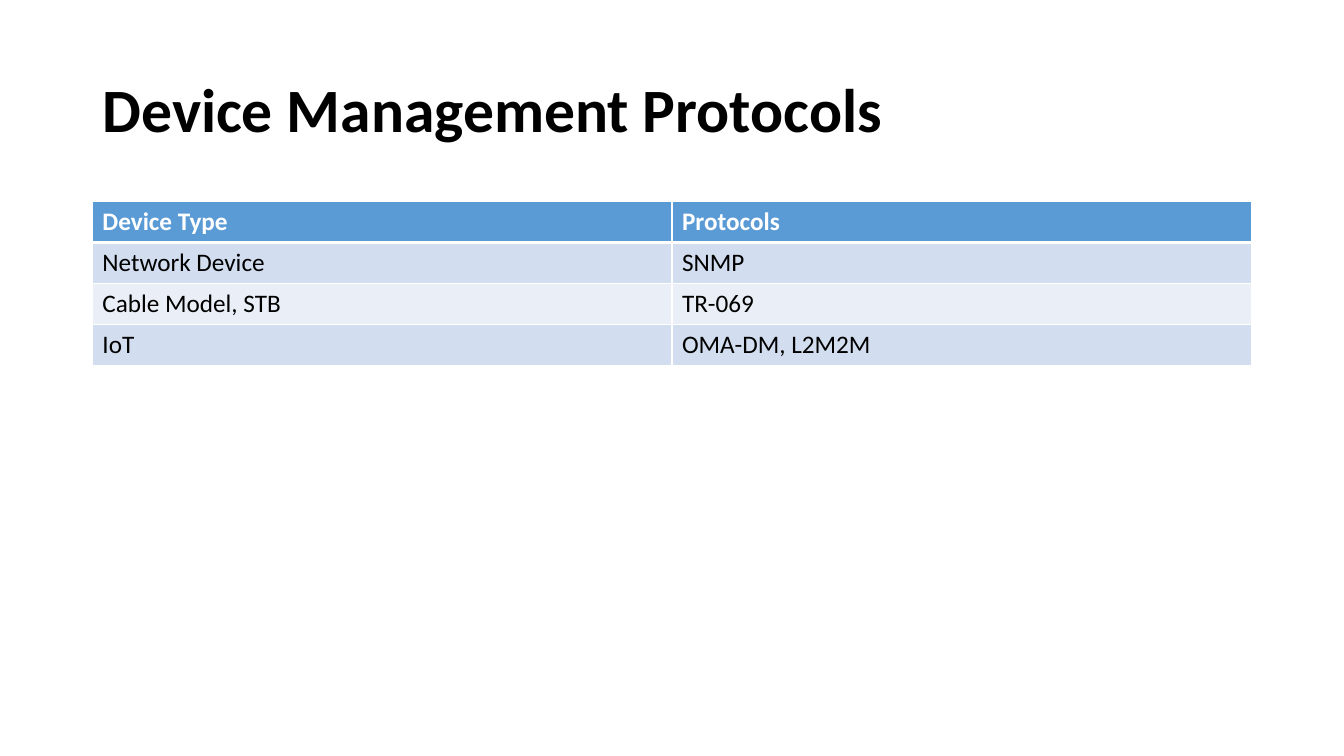
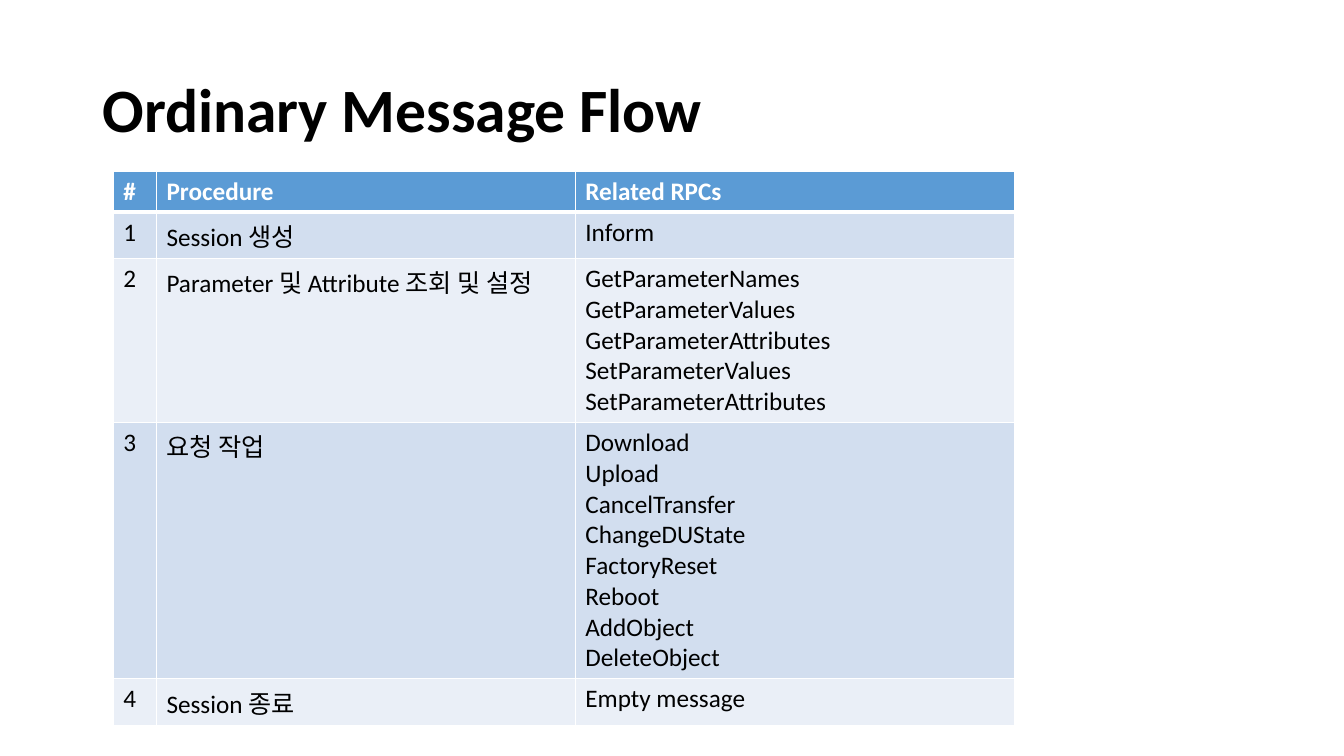
from lxml.etree import SubElement
from pptx import Presentation
from pptx.dml.color import RGBColor
from pptx.enum.text import MSO_ANCHOR as Anchor, MSO_AUTO_SIZE as AutoSize, PP_ALIGN as Align
from pptx.oxml.ns import qn
from pptx.util import Pt

PX = 9525
FONT = "Calibri"
BLACK = RGBColor(0x00, 0x00, 0x00)
WHITE = RGBColor(0xFF, 0xFF, 0xFF)
HEADER_BLUE = RGBColor(0x5B, 0x9B, 0xD5)
BANDS = [RGBColor(0xD2, 0xDE, 0xEF), RGBColor(0xEA, 0xEF, 0xF7)]
TITLE_BOX = (88, 38, 1104, 139)
ROW_HEIGHT = 39

SLIDES = [
    {
        "title": "Device Management Protocols",
        "corner": (88, 192),
        "columns": [552, 552],
        "rows": [
            ["Device Type", "Protocols"],
            ["Network Device", "SNMP"],
            ["Cable Model, STB", "TR-069"],
            ["IoT", "OMA-DM, L2M2M"],
        ],
    },
    {
        "title": "Ordinary Message Flow",
        "corner": (108, 163),
        "columns": [41, 399, 418],
        "rows": [
            ["#", "Procedure", "Related RPCs"],
            ["1", "Session 생성", "Inform"],
            ["2", "Parameter 및 Attribute 조회 및 설정",
             "GetParameterNames\nGetParameterValues\nGetParameterAttributes\n"
             "SetParameterValues\nSetParameterAttributes"],
            ["3", "요청 작업",
             "Download\nUpload\nCancelTransfer\nChangeDUState\n"
             "FactoryReset\nReboot\nAddObject\nDeleteObject"],
            ["4", "Session 종료", "Empty message"],
        ],
    },
]


def add_run(paragraph, text, size, color, bold):
    run = paragraph.add_run()
    run.text = text
    run.font.name = FONT
    run.font.size = Pt(size)
    run.font.bold = bold
    run.font.color.rgb = color


def add_borders(cell, bottom_width):
    properties = cell._tc.get_or_add_tcPr()
    for side, width in (("L", 1), ("R", 1), ("T", 1), ("B", bottom_width)):
        line = SubElement(properties, qn(f"a:ln{side}"), w=str(Pt(width)))
        fill = SubElement(line, qn("a:solidFill"))
        SubElement(fill, qn("a:srgbClr"), val=str(WHITE))


presentation = Presentation()
presentation.slide_width = 1280 * PX
presentation.slide_height = 720 * PX
title_only = presentation.slide_layouts.get_by_name("Title Only")

for content in SLIDES:
    slide = presentation.slides.add_slide(title_only)
    title = slide.shapes.title
    title.left, title.top, title.width, title.height = [length * PX for length in TITLE_BOX]
    title.text_frame.auto_size = AutoSize.NONE
    title.text_frame.vertical_anchor = Anchor.MIDDLE
    paragraph = title.text_frame.paragraphs[0]
    paragraph.alignment = Align.LEFT
    paragraph.line_spacing = 0.9
    add_run(paragraph, content["title"], 44, BLACK, True)

    left, top = content["corner"]
    columns, rows = content["columns"], content["rows"]
    table = slide.shapes.add_table(
        len(rows), len(columns), left * PX, top * PX,
        sum(columns) * PX, len(rows) * ROW_HEIGHT * PX,
    ).table
    for column, width in zip(table.columns, columns):
        column.width = width * PX

    for row_index, row in enumerate(rows):
        is_header = row_index == 0
        for column_index, text in enumerate(row):
            cell = table.cell(row_index, column_index)
            add_borders(cell, 3 if is_header else 1)
            cell.fill.solid()
            cell.fill.fore_color.rgb = HEADER_BLUE if is_header else BANDS[(row_index - 1) % 2]
            for line_index, line in enumerate(text.split("\n")):
                frame = cell.text_frame
                paragraph = frame.add_paragraph() if line_index else frame.paragraphs[0]
                add_run(paragraph, line, 18, WHITE if is_header else BLACK, is_header)

presentation.save("out.pptx")
